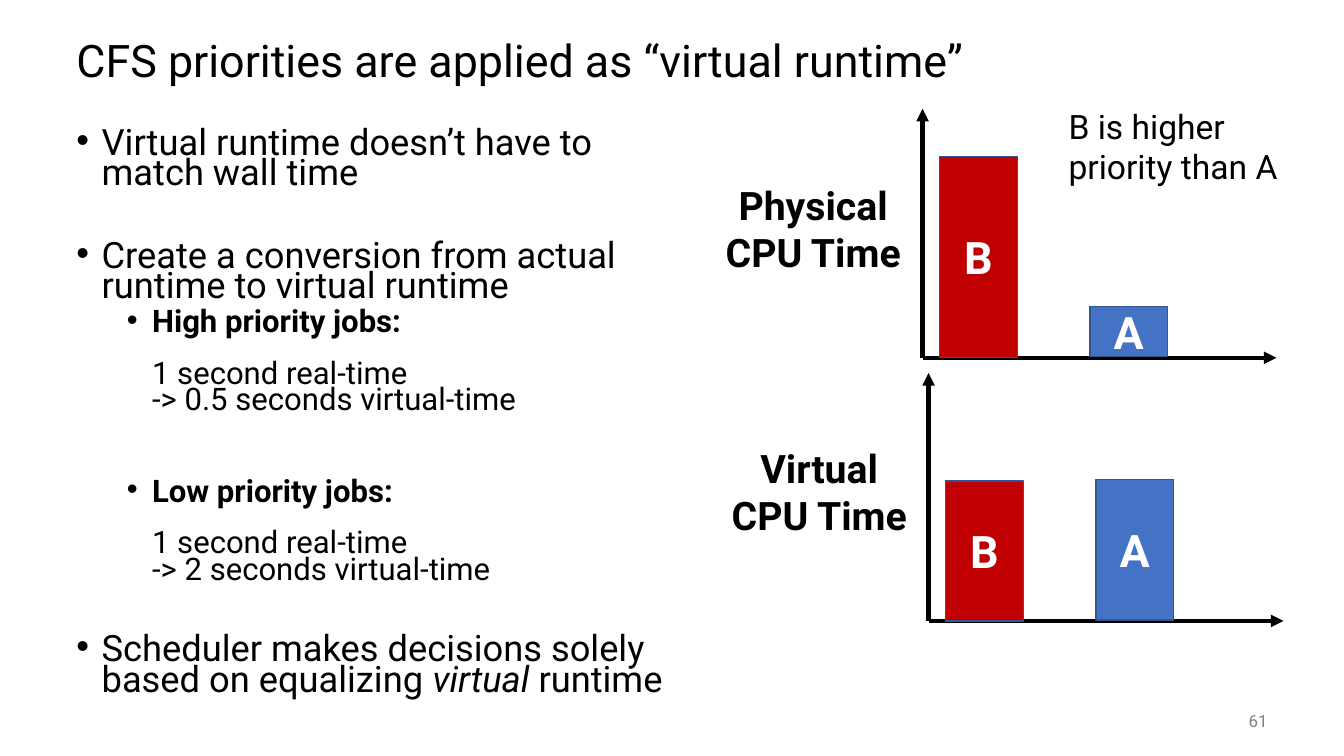
from lxml.etree import SubElement
from pptx import Presentation
from pptx.dml.color import RGBColor
from pptx.enum.shapes import MSO_CONNECTOR, MSO_SHAPE
from pptx.enum.text import MSO_ANCHOR, PP_ALIGN
from pptx.oxml.ns import qn
from pptx.util import Inches, Pt

COLORS = {
    "text": "000000",
    "number": "808080",
    "high": "C00000",
    "low": "4472C4",
    "outline": "325491",
    "bar_text": "FFFFFF",
}
FONT = "Roboto"
BODY_SIZE = 25.9
DETAIL_SIZE = 22.2
BAR_WIDTH = 0.77

BODY = [
    {"runs": ["Virtual runtime doesn’t have to match wall time"]},
    {"runs": ["Create a conversion from actual runtime to virtual runtime"], "before": 37.2},
    {"runs": ["High priority jobs:"], "level": 1, "bold": True, "before": 5},
    {"runs": ["1 second real-time\v-> 0.5 seconds virtual-time"], "level": 1,
     "bullet": False, "before": 18.2},
    {"runs": ["Low priority jobs:"], "level": 1, "bold": True, "before": 47},
    {"runs": ["1 second real-time\v-> 2 seconds virtual-time"], "level": 1,
     "bullet": False, "before": 18.2},
    {"runs": ["Scheduler makes decisions solely based on equalizing ", "virtual", " runtime"],
     "before": 37.2},
]


def color(name):
    return RGBColor.from_string(COLORS[name])


def style(paragraph, size, color_name="text", bold=False, align=PP_ALIGN.LEFT):
    paragraph.alignment = align
    paragraph.font.name = FONT
    paragraph.font.size = Pt(size)
    paragraph.font.bold = bold
    paragraph.font.color.rgb = color(color_name)


def add_text(slide, box, lines, size, anchor=MSO_ANCHOR.TOP, wrap=True, **look):
    shape = slide.shapes.add_textbox(*map(Inches, box))
    frame = shape.text_frame
    frame.word_wrap = wrap
    frame.vertical_anchor = anchor
    frame.text = "\n".join(lines)
    for paragraph in frame.paragraphs:
        style(paragraph, size, **look)
    return shape


def add_title(slide, box, title):
    shape = add_text(slide, box, [title], 32, MSO_ANCHOR.MIDDLE)
    shape.text_frame.paragraphs[0].line_spacing = 0.9


def set_bullet(paragraph, level, bullet):
    properties = paragraph._p.get_or_add_pPr()
    properties.set("marL", str(Inches(0.25 + 0.5 * level)))
    properties.set("indent", str(Inches(-0.25 if bullet else 0)))
    if bullet:
        SubElement(properties, qn("a:buFont"), typeface="Arial")
        SubElement(properties, qn("a:buChar"), char="•")
    else:
        SubElement(properties, qn("a:buNone"))


def add_body(slide, box, items):
    frame = slide.shapes.add_textbox(*map(Inches, box)).text_frame
    frame.word_wrap = True
    for index, item in enumerate(items):
        paragraph = frame.add_paragraph() if index else frame.paragraphs[0]
        level = item.get("level", 0)
        paragraph.level = level
        set_bullet(paragraph, level, item.get("bullet", True))
        if len(item["runs"]) == 1:
            paragraph.text = item["runs"][0]
        else:
            for text in item["runs"]:
                run = paragraph.add_run()
                run.text = text
                run.font.italic = text == "virtual"
        style(paragraph, DETAIL_SIZE if level else BODY_SIZE, bold=item.get("bold", False))
        paragraph.line_spacing = 0.7
        paragraph.space_before = Pt(item.get("before", 0))


def add_axis(slide, start, end):
    connector = slide.shapes.add_connector(
        MSO_CONNECTOR.STRAIGHT, *map(Inches, (*start, *end)))
    connector.line.color.rgb = color("text")
    connector.line.width = Pt(3)
    properties = connector.element.spPr
    SubElement(properties.find(qn("a:ln")), qn("a:tailEnd"), type="triangle")
    SubElement(properties, qn("a:effectLst"))


def add_bar(slide, left, bottom, height, label, fill):
    shape = slide.shapes.add_shape(
        MSO_SHAPE.RECTANGLE, *map(Inches, (left, bottom - height, BAR_WIDTH, height)))
    shape.shadow.inherit = False
    shape.fill.solid()
    shape.fill.fore_color.rgb = color(fill)
    shape.line.color.rgb = color("outline")
    shape.line.width = Pt(1)
    shape.text_frame.vertical_anchor = MSO_ANCHOR.MIDDLE
    shape.text_frame.text = label
    style(shape.text_frame.paragraphs[0], 32, "bar_text", True, PP_ALIGN.CENTER)


def add_time_diagram(slide, box, kind, height_b, height_a):
    left, top, width, height = box
    bottom = top + height
    add_axis(slide, (left, bottom), (left + width, bottom))
    add_axis(slide, (left, bottom), (left, top))
    add_text(slide, (left - 2.14, bottom - 1.8, 2.11, 1.04), [kind, "CPU Time"], 28,
             wrap=False, bold=True, align=PP_ALIGN.CENTER)
    add_bar(slide, left + 0.17, bottom, height_b, "B", "high")
    add_bar(slide, left + 1.66, bottom - 0.01, height_a, "A", "low")


def main():
    presentation = Presentation()
    presentation.slide_width = Inches(13.33)
    presentation.slide_height = Inches(7.5)
    slide = presentation.slides.add_slide(presentation.slide_layouts[6])
    add_title(slide, (0.66, 0.25, 12, 0.75), "CFS priorities are applied as “virtual runtime”")
    add_body(slide, (0.66, 1.25, 6.41, 6.1), BODY)
    add_time_diagram(slide, (9.15, 1.08, 3.51, 2.47), "Physical", 2, 0.5)
    add_time_diagram(slide, (9.21, 3.7, 3.52, 2.46), "Virtual", 1.39, 1.39)
    add_text(slide, (10.5, 1, 2.34, 0.91), ["B is higher priority than A"], 24)
    add_text(slide, (11.67, 6.95, 1, 0.4), ["61"], 12, MSO_ANCHOR.MIDDLE,
             color_name="number", align=PP_ALIGN.RIGHT)
    presentation.save("out.pptx")


if __name__ == "__main__":
    main()
